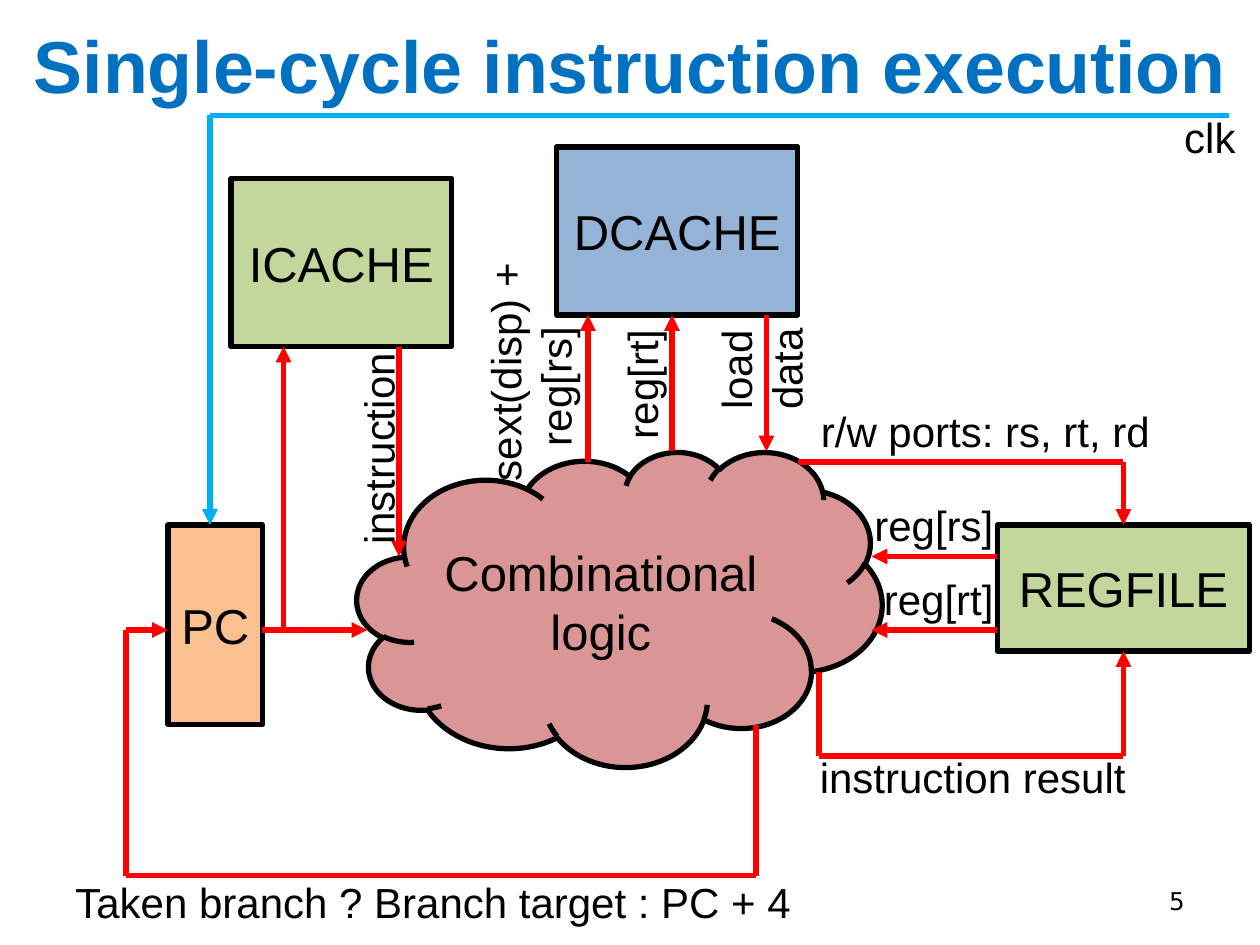
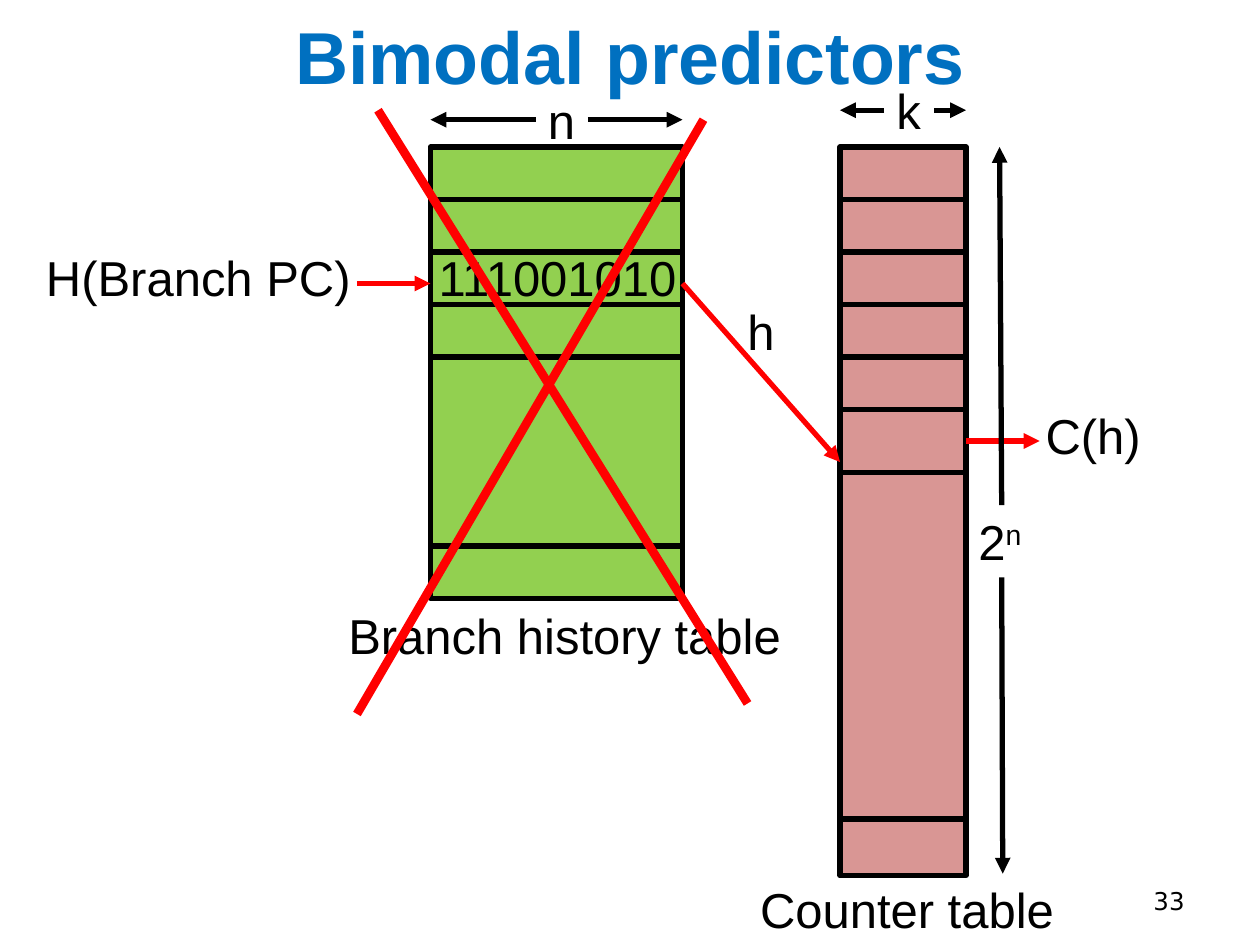
"""Two slides on processor structure, laid out on a grid of 120 columns by 90 rows."""
from dataclasses import dataclass

from lxml import etree
from pptx import Presentation
from pptx.dml.color import RGBColor
from pptx.enum.shapes import MSO_CONNECTOR, MSO_SHAPE
from pptx.enum.text import MSO_ANCHOR, MSO_AUTO_SIZE, PP_ALIGN
from pptx.oxml.ns import qn
from pptx.util import Emu, Inches, Pt

RECTANGLE, CLOUD = MSO_SHAPE.RECTANGLE, MSO_SHAPE.CLOUD
STRAIGHT = MSO_CONNECTOR.STRAIGHT
LEFT, CENTER, RIGHT = PP_ALIGN.LEFT, PP_ALIGN.CENTER, PP_ALIGN.RIGHT
MIDDLE = MSO_ANCHOR.MIDDLE
FIT_SHAPE, NO_FIT = MSO_AUTO_SIZE.SHAPE_TO_FIT_TEXT, MSO_AUTO_SIZE.NONE
TITLE_ONLY = 5
COLUMNS, ROWS = 120, 90
WIDTH, HEIGHT = Inches(10), Inches(7.5)


@dataclass(frozen=True)
class Theme:
    """Colours, fonts and sizes in points."""
    title: str = "0070C0"
    ink: str = "000000"
    signal: str = "FF0000"
    clock: str = "00B0F0"
    orange: str = "FAC090"
    green: str = "C3D69B"
    blue: str = "95B3D7"
    rose: str = "D99694"
    lime: str = "92D050"
    font: str = "Arial"
    number_font: str = "DejaVu Sans"
    title_size: int = 42
    block_size: int = 28
    label_size: int = 24
    number_size: int = 14
    line: int = 3
    cross: int = 5


THEME = Theme()


@dataclass(frozen=True)
class Block:
    """A filled, outlined shape; lengths in grid cells."""
    text: str
    left: float
    top: float
    width: float
    height: float
    fill: str
    shape: int = RECTANGLE


@dataclass(frozen=True)
class Label:
    """Free text; power is a superscript, indent (cells) moves the last line."""
    text: str
    left: float
    top: float
    width: float
    size: int = THEME.label_size
    turn: int = 0
    indent: float = 0
    power: str = ""


@dataclass(frozen=True)
class Wire:
    """A path of straight lines, with an arrowhead at its end if wanted."""
    points: tuple
    color: str = THEME.signal
    arrow: bool = True
    weight: int = THEME.line


@dataclass(frozen=True)
class Stack:
    """A memory table: a block divided at the given grid rows."""
    block: Block
    dividers: tuple


def across(columns: float) -> Emu:
    """Turn grid columns into a length."""
    return Emu(round(WIDTH * columns / COLUMNS))


def down(rows: float) -> Emu:
    """Turn grid rows into a length."""
    return Emu(round(HEIGHT * rows / ROWS))


def style(para, size: int, color: str = THEME.ink, font: str = THEME.font,
          align=LEFT, bold: bool = False) -> None:
    """Format a whole paragraph."""
    para.alignment = align
    para.font.name, para.font.size, para.font.bold = font, Pt(size), bold
    para.font.color.rgb = RGBColor.from_string(color)


def add_page(deck, title: str, title_top: float, number: str):
    """Add a slide with its title and page number."""
    page = deck.slides.add_slide(deck.slide_layouts[TITLE_ONLY])
    box = page.shapes.title
    box.left, box.top, box.width, box.height = 0, down(title_top), WIDTH, down(9.6)
    frame = box.text_frame
    frame.text = title
    frame.vertical_anchor, frame.auto_size = MIDDLE, NO_FIT
    style(frame.paragraphs[0], THEME.title_size, THEME.title, align=CENTER, bold=True)

    box = page.shapes.add_textbox(across(86), down(83.4), across(28), down(4.8))
    frame = box.text_frame
    frame.text, frame.word_wrap, frame.vertical_anchor = number, True, MIDDLE
    style(frame.paragraphs[0], THEME.number_size, font=THEME.number_font, align=RIGHT)
    return page


def add_block(page, block: Block) -> None:
    """Draw a shape with centred text."""
    box = page.shapes.add_shape(block.shape, across(block.left), down(block.top),
                                across(block.width), down(block.height))
    box.shadow.inherit = False
    box.fill.solid()
    box.fill.fore_color.rgb = RGBColor.from_string(block.fill)
    box.line.color.rgb = RGBColor.from_string(THEME.ink)
    box.line.width = Pt(THEME.line)
    if block.text:
        frame = box.text_frame
        frame.margin_left = frame.margin_right = Inches(0.05)
        frame.text, frame.word_wrap, frame.vertical_anchor = block.text, True, MIDDLE
        style(frame.paragraphs[0], THEME.block_size, align=CENTER)


def add_label(page, label: Label) -> None:
    """Place free text, its height given by the number of lines."""
    lines = label.text.split("\n")
    height = Pt(1.2 * label.size * len(lines)) + Inches(0.1)
    box = page.shapes.add_textbox(across(label.left), down(label.top),
                                  across(label.width), height)
    box.rotation = label.turn
    frame = box.text_frame
    frame.text, frame.word_wrap, frame.auto_size = label.text, False, FIT_SHAPE
    for para in frame.paragraphs:
        style(para, label.size)
    last = frame.paragraphs[-1]
    if label.indent:
        last._p.get_or_add_pPr().set("marL", str(across(label.indent)))
    if label.power:
        span = last.add_run()
        span.text = label.power
        span._r.get_or_add_rPr().set("baseline", "30000")


def add_wire(page, wire: Wire) -> None:
    """Draw each stretch of a path."""
    final = len(wire.points) - 1
    for step, (start, end) in enumerate(zip(wire.points, wire.points[1:]), 1):
        link = page.shapes.add_connector(STRAIGHT, across(start[0]), down(start[1]),
                                         across(end[0]), down(end[1]))
        link.line.color.rgb = RGBColor.from_string(wire.color)
        link.line.width = Pt(wire.weight)
        properties = link._element.spPr
        if wire.arrow and step == final:
            outline = properties.find(qn("a:ln"))
            etree.SubElement(outline, qn("a:tailEnd"), type="triangle")
        etree.SubElement(properties, qn("a:effectLst"))


def add_stack(page, stack: Stack) -> None:
    """Draw a memory table and its row dividers."""
    block = stack.block
    add_block(page, block)
    for row in stack.dividers:
        ends = ((block.left, row), (block.left + block.width, row))
        add_wire(page, Wire(ends, THEME.ink, arrow=False))


DRAW = {Block: add_block, Label: add_label, Wire: add_wire, Stack: add_stack}


def draw(page, parts: tuple) -> None:
    """Draw parts from back to front."""
    for part in parts:
        DRAW[type(part)](page, part)


BIG = THEME.block_size
UPWARD = 270

DATAPATH = (
    Block("Combinational logic", 34, 43, 50, 30, THEME.rose, CLOUD),
    Block("PC", 16, 50, 9, 19, THEME.orange),
    Block("ICACHE", 22, 17, 21, 16, THEME.green),
    Block("DCACHE", 53, 14, 23, 16, THEME.blue),
    Block("REGFILE", 95, 50, 24, 12, THEME.green),
    Wire(((25, 60), (35, 60))),
    Wire(((27, 60), (27, 33))),
    Wire(((38, 33), (38, 53))),
    Wire(((72, 69), (72, 83.4), (12, 83.4), (12, 60), (16, 60))),
    Wire(((56, 44), (56, 30))),
    Wire(((64, 43), (64, 30))),
    Wire(((73, 30), (73, 43))),
    Wire(((95, 53), (83, 53))),
    Wire(((95, 60), (83, 60))),
    Wire(((78, 64), (78, 72), (107, 72), (107, 62))),
    Wire(((76, 44), (107, 44), (107, 50))),
    Label("Taken branch ? Branch target : PC + 4", 6, 82.9, 71.3),
    Label("instruction", 25.55, 39.6, 20.9, turn=UPWARD),
    Label("sext(disp) +\nreg[rs]", 38.75, 29.9, 23.4, turn=UPWARD, indent=3.33),
    Label("reg[rt]", 54.6, 33.5, 13, turn=UPWARD),
    Label("load\ndata", 67.3, 29.65, 10.3, turn=UPWARD),
    Label("instruction result", 76.9, 71, 32),
    Label("r/w ports: rs, rt, rd", 77, 38, 35.4),
    Label("reg[rs]", 82.1, 47, 13.9),
    Label("reg[rt]", 83, 54, 13),
    Wire(((117, 11), (20, 11), (20, 50)), THEME.clock),
    Label("clk", 111.6, 10, 7.3),
)

PREDICTOR = (
    Stack(Block("", 41, 14, 24, 43, THEME.lime), (*range(19, 35, 5), 52)),
    Stack(Block("", 80, 14, 12, 69.4, THEME.rose), (*range(19, 40, 5), 45, 78)),
    Wire(((65, 27), (80, 44))),
    Wire(((92, 42), (99, 42))),
    Label("C(h)", 98.4, 38, 11.6, BIG),
    Label("h", 70, 28.1, 5, BIG),
    Label("H(Branch PC)", 3.2, 23, 31.8, BIG),
    Wire(((34, 27), (41, 27))),
    Label("Branch history table", 32, 57.1, 44.2, BIG),
    Label("Counter table", 71.2, 83.2, 30.8, BIG),
    Label("n", 51, 8, 5, BIG),
    Label("k", 84.2, 7.1, 4.8, BIG),
    Label("2", 92, 48.1, 6.8, BIG, power="n"),
    Wire(((95.4, 55), (95.5, 83.2)), THEME.ink),
    Wire(((95.4, 48.1), (95.2, 14)), THEME.ink),
    Wire(((89, 10.5), (92, 10.5)), THEME.ink),
    Wire(((84.2, 10.5), (80, 10.5)), THEME.ink),
    Wire(((56, 11.4), (65, 11.4)), THEME.ink),
    Wire(((51, 11.4), (41, 11.4)), THEME.ink),
    Label("111001010", 40.6, 23, 25.4, BIG),
    Wire(((67, 11.4), (34, 68)), arrow=False, weight=THEME.cross),
    Wire(((36, 10.5), (71.2, 67)), arrow=False, weight=THEME.cross),
)

deck = Presentation()
deck.slide_width, deck.slide_height = WIDTH, HEIGHT
draw(add_page(deck, "Single-cycle instruction execution", 1.3, "5"), DATAPATH)
draw(add_page(deck, "Bimodal predictors", 0.4, "33"), PREDICTOR)
deck.save("out.pptx")
